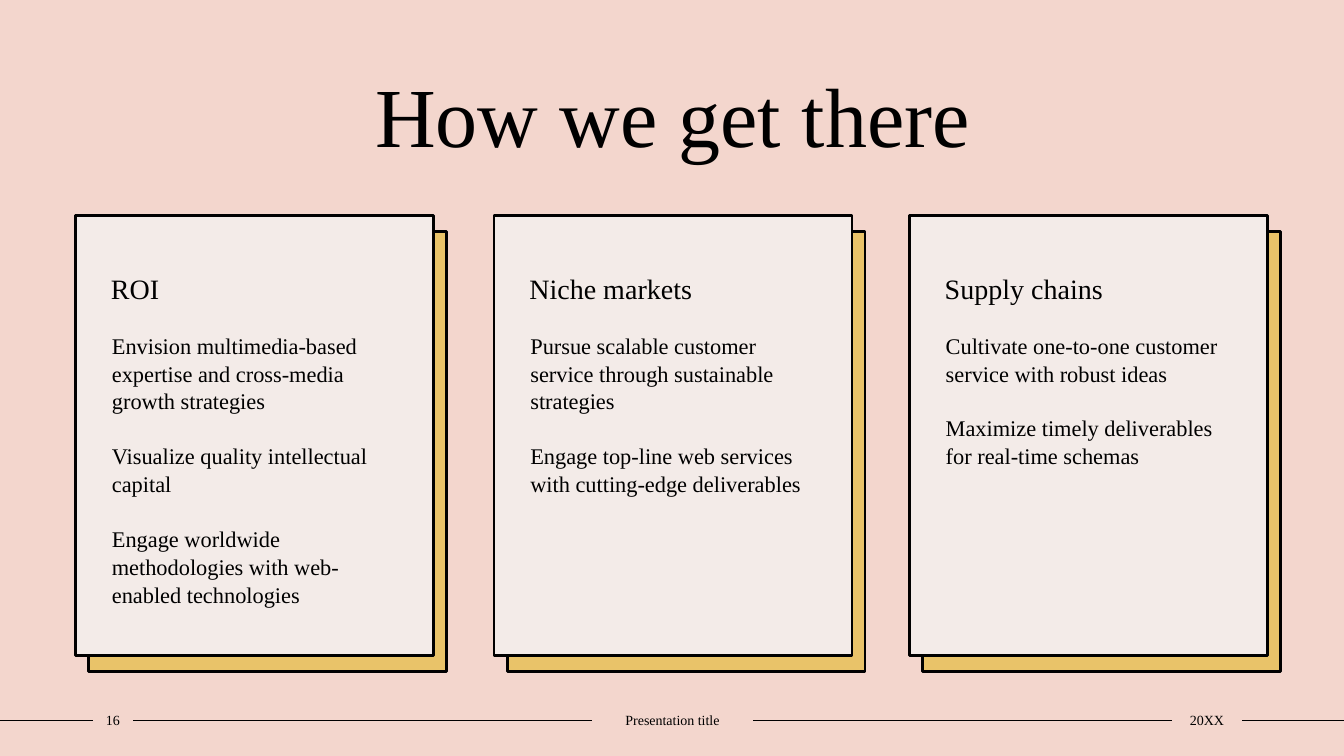
from pptx import Presentation
from pptx.dml.color import RGBColor
from pptx.enum.shapes import MSO_CONNECTOR, MSO_SHAPE
from pptx.enum.text import MSO_ANCHOR, PP_ALIGN
from pptx.oxml.ns import qn
from pptx.util import Inches, Pt
from lxml import etree

PINK = RGBColor(0xF3, 0xD6, 0xCD)
GOLD = RGBColor(0xE9, 0xC3, 0x69)
CREAM = RGBColor(0xF3, 0xEB, 0xE8)
BLACK = RGBColor(0, 0, 0)
FONT = "Times New Roman"

CARD_TOP, CARD_W, CARD_H = 2.14, 3.55, 4.36
CARDS = [
    (0.75, "ROI", [
        "Envision multimedia-based expertise and cross-media growth strategies",
        "Visualize quality intellectual capital",
        "Engage worldwide methodologies with web-enabled technologies"]),
    (4.9, "Niche markets", [
        "Pursue scalable customer service through sustainable strategies",
        "Engage top-line web services with cutting-edge deliverables"]),
    (9.02, "Supply chains", [
        "Cultivate one-to-one customer service with robust ideas",
        "Maximize timely deliverables for real-time schemas"]),
]
FOOTERS = [(0.92, 0.4, "16"), (5.87, 1.6, "Presentation title"), (11.62, 0.7, "20XX")]
FOOTER_TOP, FOOTER_H = 7.01, 0.27


def style_text(p, size, align=PP_ALIGN.LEFT):
    p.alignment = align
    for r in p.runs:
        r.font.name = FONT
        r.font.size = Pt(size)
        r.font.bold = False
        r.font.color.rgb = BLACK


def add_card(left, top, color):
    sp = s.shapes.add_shape(MSO_SHAPE.RECTANGLE, Inches(left), Inches(top),
                            Inches(CARD_W), Inches(CARD_H))
    sp.shadow.inherit = False
    sp.fill.solid()
    sp.fill.fore_color.rgb = color
    sp.line.color.rgb = BLACK
    sp.line.width = Pt(2)
    return sp


prs = Presentation()
prs.slide_width, prs.slide_height = Inches(13.33), Inches(7.5)
s = prs.slides.add_slide(prs.slide_layouts[4])
s.background.fill.solid()
s.background.fill.fore_color.rgb = PINK

# Title
title = s.shapes.title
title.left, title.top = Inches(1.25), Inches(0.56)
title.width, title.height = Inches(10.84), Inches(1.11)
tf = title.text_frame
tf.text = "How we get there"
tf.vertical_anchor = MSO_ANCHOR.BOTTOM
tf.margin_bottom = Inches(0.04)
style_text(tf.paragraphs[0], 60, PP_ALIGN.CENTER)

# Cards, each with a list in front
*bodies, spare = [ph for ph in s.placeholders if ph.placeholder_format.idx in (1, 2, 3, 4)]
spare.element.getparent().remove(spare.element)

for (left, heading, items), body in zip(CARDS, bodies):
    add_card(left + 0.13, CARD_TOP + 0.16, GOLD)
    card = add_card(left, CARD_TOP, CREAM)
    tf = card.text_frame
    tf.word_wrap = True
    tf.vertical_anchor = MSO_ANCHOR.TOP
    tf.margin_left, tf.margin_top = Inches(0.35), Inches(0.55)
    tf.text = heading
    style_text(tf.paragraphs[0], 20)

    card.element.addnext(body.element)
    body.left, body.top = Inches(left + 0.26), Inches(3.22)
    body.width, body.height = Inches(3), Inches(3.05)
    tf = body.text_frame
    tf.vertical_anchor = MSO_ANCHOR.TOP
    tf.margin_top = Inches(0.06)
    tf.text = "\n".join(items)
    for i, p in enumerate(tf.paragraphs):
        pPr = p._p.get_or_add_pPr()
        pPr.set("marL", "0")
        pPr.set("indent", "0")
        etree.SubElement(pPr, qn("a:buNone"))
        p.line_spacing = 1.04
        p.space_before = Pt(19.2 if i else 0)
        style_text(p, 16)

# Footer labels, with a rule running between them from edge to edge
labels = []
for left, width, text in FOOTERS:
    label = s.shapes.add_textbox(Inches(left), Inches(FOOTER_TOP), Inches(width), Inches(FOOTER_H))
    tf = label.text_frame
    tf.word_wrap = True
    tf.vertical_anchor = MSO_ANCHOR.MIDDLE
    tf.margin_left = tf.margin_right = 0
    tf.text = text
    style_text(tf.paragraphs[0], 10, PP_ALIGN.CENTER)
    labels.append(label)

rule_y = Inches(FOOTER_TOP + FOOTER_H / 2)
for before, after in zip([None, *labels], [*labels, None]):
    rule = s.shapes.add_connector(MSO_CONNECTOR.STRAIGHT, 0, rule_y, prs.slide_width, rule_y)
    if before:
        rule.begin_connect(before, 3)
    if after:
        rule.end_connect(after, 1)
    rule.line.color.rgb = BLACK
    rule.line.width = Pt(1)
    etree.SubElement(rule.element.spPr, qn("a:effectLst"))

# Unused footer placeholders stay out of the slide
for ph in list(s.placeholders):
    if not ph.text_frame.text:
        ph.element.getparent().remove(ph.element)

prs.save("out.pptx")
